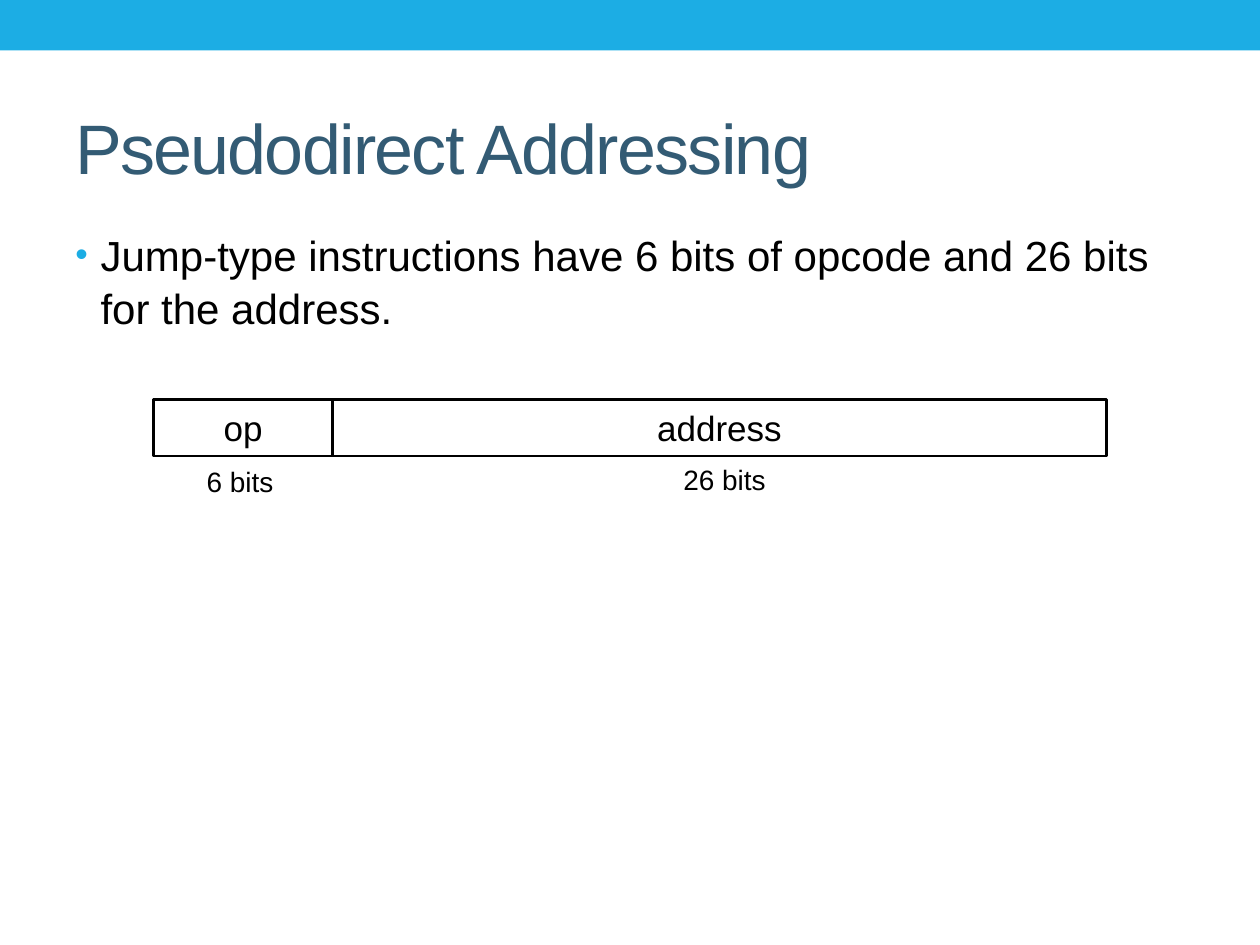
from lxml import etree
from pptx import Presentation
from pptx.dml.color import RGBColor
from pptx.enum import shapes, text
from pptx.oxml.ns import qn
from pptx.util import Inches, Pt

BLACK, ACCENT, TITLE = "000000", "1CADE4", "335B74"
FIELDS_LEFT, FIELDS_TOP, FIELD_HEIGHT = 1.22, 3.17, 0.45
# name, width of field, caption, caption box (left, top, width)
FIELDS = [
    ("op", 1.42, "6 bits", (1.54, 3.64, 0.73)),
    ("address", 6.14, "26 bits", (5.32, 3.62, 0.86)),
]


def rgb(color):
    return RGBColor.from_string(color)


def write(shape, words, size, color=BLACK, centred=False):
    paragraph = shape.text_frame.paragraphs[0]
    paragraph.text = words
    paragraph.alignment = text.PP_ALIGN.CENTER if centred else text.PP_ALIGN.LEFT
    paragraph.font.name = "Arial"
    paragraph.font.size = Pt(size)
    paragraph.font.color.rgb = rgb(color)
    return paragraph


def add_rectangle(slide, box, fill=None, line=None):
    rectangle = slide.shapes.add_shape(shapes.MSO_SHAPE.RECTANGLE, *map(Inches, box))
    rectangle.shadow.inherit = False
    if fill:
        rectangle.fill.solid()
        rectangle.fill.fore_color.rgb = rgb(fill)
    else:
        rectangle.fill.background()
    if line:
        rectangle.line.color.rgb = rgb(line)
        rectangle.line.width = Pt(1.5)
    else:
        rectangle.line.fill.background()
    return rectangle


def add_text(slide, box, wrap=True):
    textbox = slide.shapes.add_textbox(*map(Inches, box))
    textbox.text_frame.word_wrap = wrap
    return textbox


def add_title(slide, words):
    title = add_text(slide, (0.5, 0.62, 9, 1.08))
    title.text_frame.vertical_anchor = text.MSO_ANCHOR.MIDDLE
    paragraph = write(title, words, 40, TITLE)
    paragraph.runs[0].font._element.set("spc", "-100")


def add_bullet(slide, words):
    body = add_text(slide, (0.5, 1.75, 9, 5.33))
    properties = body.text_frame.paragraphs[0]._p.get_or_add_pPr()
    properties.set("marL", str(Inches(0.2)))
    properties.set("indent", str(Inches(-0.2)))
    color = etree.SubElement(properties, qn("a:buClr"))
    etree.SubElement(color, qn("a:srgbClr"), val=ACCENT)
    etree.SubElement(properties, qn("a:buSzPct"), val="85000")
    etree.SubElement(properties, qn("a:buFont"), typeface="Arial")
    etree.SubElement(properties, qn("a:buChar"), char="•")
    write(body, words, 24).line_spacing = 1.05


def add_instruction_format(slide):
    left = FIELDS_LEFT
    for name, width, caption, (caption_left, caption_top, caption_width) in FIELDS:
        field = add_rectangle(slide, (left, FIELDS_TOP, width, FIELD_HEIGHT), line=BLACK)
        write(field, name, 20, centred=True)
        label = add_text(slide, (caption_left, caption_top, caption_width, 0.37), wrap=False)
        write(label, caption, 16, centred=True)
        left += width


def main():
    deck = Presentation()
    deck.slide_width, deck.slide_height = Inches(10), Inches(7.5)
    slide = deck.slides.add_slide(deck.slide_layouts[6])
    add_rectangle(slide, (0, 0, 10, 0.4), fill=ACCENT)
    add_title(slide, "Pseudodirect Addressing")
    add_bullet(slide, "Jump-type instructions have 6 bits of opcode and 26 bits for the address.")
    add_instruction_format(slide)
    deck.save("out.pptx")


if __name__ == "__main__":
    main()
